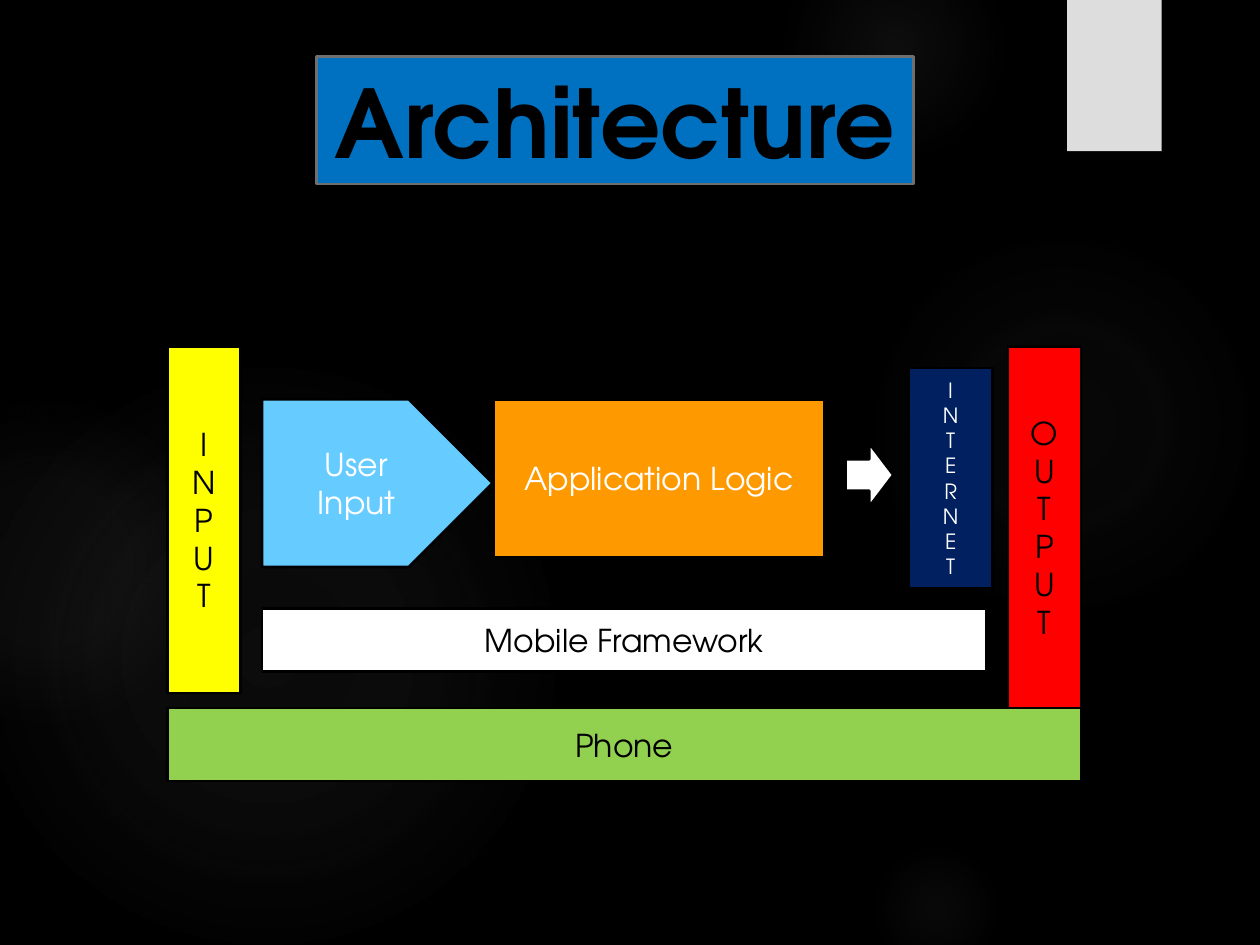
import dataclasses

import pptx
import pptx.dml.color
import pptx.enum.shapes
import pptx.enum.text
import pptx.oxml
import pptx.oxml.ns
import pptx.util

Inches = pptx.util.Inches
Shape = pptx.enum.shapes.MSO_SHAPE
NAMESPACE = pptx.oxml.ns.nsdecls("a")


@dataclasses.dataclass(frozen=True)
class Theme:
    font: str = "TeX Gyre Adventor"
    title_size: int = 54
    body_size: int = 18
    small_size: int = 12
    line_width: float = 1.5
    black: str = "000000"
    white: str = "FFFFFF"
    glow: str = "666666"
    tab: str = "DDDDDD"
    title_fill: str = "0070C0"
    title_line: str = "6F6F6F"
    red: str = "FF0000"
    yellow: str = "FFFF00"
    sky: str = "66CCFF"
    orange: str = "FF9900"
    green: str = "92D050"
    navy: str = "002060"


def rgb(color):
    return pptx.dml.color.RGBColor.from_string(color)


class Painter:
    def __init__(self, page, theme):
        self.page = page
        self.theme = theme
        page.background.fill.solid()
        page.background.fill.fore_color.rgb = rgb(theme.black)

    def block(self, kind, left, top, width, height, fill, line=None):
        box = self.page.shapes.add_shape(
            kind, Inches(left), Inches(top), Inches(width), Inches(height))
        box.shadow.inherit = False
        box.fill.solid()
        box.fill.fore_color.rgb = rgb(fill)
        if line:
            box.line.color.rgb = rgb(line)
            box.line.width = pptx.util.Pt(self.theme.line_width)
        else:
            box.line.fill.background()
        return box

    def glow(self, left, top, size, stops):
        """Draw a circle that fades outwards; stops are (position, opacity) in percent."""
        circle = self.block(Shape.OVAL, left, top, size, size, self.theme.glow)
        stop_list = "".join(
            f'<a:gs pos="{position * 1000}"><a:srgbClr val="{self.theme.glow}">'
            f'<a:alpha val="{opacity * 1000}"/></a:srgbClr></a:gs>'
            for position, opacity in stops)
        gradient = pptx.oxml.parse_xml(
            f'<a:gradFill {NAMESPACE} rotWithShape="1"><a:gsLst>{stop_list}</a:gsLst>'
            '<a:path path="circle"><a:fillToRect l="50000" t="50000" r="50000" b="50000"/>'
            '</a:path></a:gradFill>')
        properties = circle.element.spPr
        properties.replace(properties.find(pptx.oxml.ns.qn("a:solidFill")), gradient)

    def tab(self, left, top, width, height):
        """Draw the corner tab with a soft shadow below it."""
        box = self.block(Shape.RECTANGLE, left, top, width, height, self.theme.tab)
        effects = box.element.spPr.find(pptx.oxml.ns.qn("a:effectLst"))
        blur, distance = pptx.util.Pt(3), pptx.util.Pt(2)
        effects.append(pptx.oxml.parse_xml(
            f'<a:outerShdw {NAMESPACE} blurRad="{blur}" dist="{distance}" dir="5400000">'
            f'<a:srgbClr val="{self.theme.black}"><a:alpha val="45000"/></a:srgbClr>'
            '</a:outerShdw>'))

    def label(self, box, paragraphs, color, size, bold=False):
        """Fill a box with centred paragraphs; a newline inside one is a line break."""
        frame = box.text_frame
        frame.word_wrap = True
        frame.vertical_anchor = pptx.enum.text.MSO_ANCHOR.MIDDLE
        for index, text in enumerate(paragraphs):
            para = frame.add_paragraph() if index else frame.paragraphs[0]
            para.alignment = pptx.enum.text.PP_ALIGN.CENTER
            for number, part in enumerate(text.split("\n")):
                if number:
                    para.add_line_break()
                span = para.add_run()
                span.text = part
                span.font.name = self.theme.font
                span.font.size = pptx.util.Pt(size)
                span.font.bold = bold
                span.font.color.rgb = rgb(color)
        return frame

    def component(self, paragraphs, place, fill, color, kind=Shape.RECTANGLE, size=None):
        box = self.block(kind, *place, fill, self.theme.black)
        return self.label(box, paragraphs, color, size or self.theme.body_size)

    def title(self, text, place):
        box = self.block(Shape.RECTANGLE, *place, self.theme.title_fill, self.theme.title_line)
        frame = self.label(box, [text], self.theme.black, self.theme.title_size, bold=True)
        frame.word_wrap = False
        frame.auto_size = pptx.enum.text.MSO_AUTO_SIZE.SHAPE_TO_FIT_TEXT


def main():
    deck = pptx.Presentation()
    deck.slide_width, deck.slide_height = Inches(10), Inches(7.5)
    theme = Theme()
    painter = Painter(deck.slides.add_slide(deck.slide_layouts[6]), theme)

    for left, top, size, stops in (
        (6.89, 1.83, 3.08, ((0, 7), (36, 6), (69, 0))),
        (6.22, -0.5, 1.75, ((0, 14), (36, 7), (73, 0))),
        (6.89, 6.67, 1.08, ((0, 9), (36, 5), (66, 0))),
        (-0.17, 2.92, 4.58, ((0, 11), (36, 10), (75, 0))),
        (-0.92, 3.17, 2.58, ((0, 8), (36, 8), (72, 0))),
    ):
        painter.glow(left, top, size, stops)
    painter.tab(8.47, 0, 0.75, 1.2)

    output = painter.component("OUTPUT", (8, 2.75, 0.58, 3.17), theme.red, theme.black)
    output.margin_bottom = Inches(0.35)
    painter.component("INPUT", (1.33, 2.75, 0.58, 2.75), theme.yellow, theme.black)
    painter.component(["Mobile Framework"], (2.08, 4.83, 5.75, 0.5), theme.white, theme.black)
    painter.component(["User\nInput"], (2.08, 3.17, 1.83, 1.33), theme.sky, theme.white,
                      kind=Shape.PENTAGON)
    painter.component(["Application Logic"], (3.92, 3.17, 2.62, 1.25), theme.orange, theme.white)
    painter.component(["Phone"], (1.33, 5.62, 7.25, 0.58), theme.green, theme.black)
    painter.component("INTERNET", (7.21, 2.92, 0.67, 1.75), theme.navy, theme.white,
                      size=theme.small_size)
    painter.block(Shape.RIGHT_ARROW, 6.71, 3.52, 0.38, 0.5, theme.white, theme.black)
    painter.title("Architecture", (2.51, 0.45, 4.74, 1.01))

    deck.save("out.pptx")


if __name__ == "__main__":
    main()
